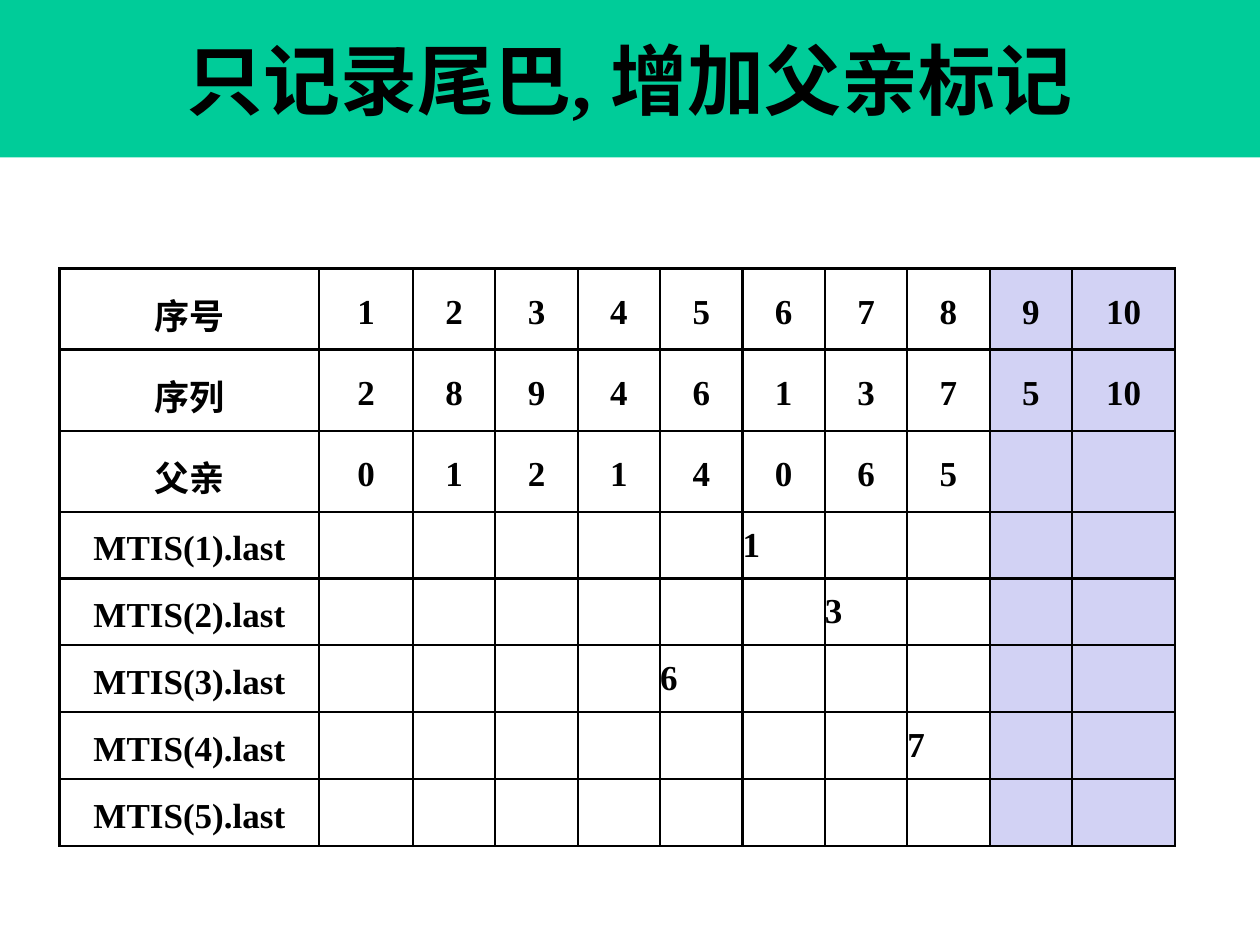
from lxml.etree import SubElement
from pptx import Presentation
from pptx.dml.color import RGBColor
from pptx.enum.text import MSO_ANCHOR, MSO_AUTO_SIZE, PP_ALIGN
from pptx.oxml.ns import qn
from pptx.util import Pt

BLACK = RGBColor(0x00, 0x00, 0x00)
GREEN = RGBColor(0x00, 0xCC, 0x99)
LAVENDER = RGBColor(0xD2, 0xD2, 0xF4)
FONT = "Times New Roman"

# Rows filled across all columns, and the single value in each later row
HEADER_ROWS = [
    ["序号", 1, 2, 3, 4, 5, 6, 7, 8, 9, 10],
    ["序列", 2, 8, 9, 4, 6, 1, 3, 7, 5, 10],
    ["父亲", 0, 1, 2, 1, 4, 0, 6, 5, "", ""],
]
LAST_VALUES = [(6, 1), (7, 3), (5, 6), (8, 7), None]  # (column, value)
COLUMN_WIDTHS = [148.5, 53.5] + [47.1] * 8 + [59]
ROW_HEIGHTS = [46] * 3 + [38] * 5
FIRST_SHADED_COLUMN = 9


def style_text(para, size):
    para.font.name = FONT
    para.font.size = Pt(size)
    para.font.bold = True
    para.font.color.rgb = BLACK


def add_title(page, left, top, width, height):
    title = page.shapes.title
    title.left, title.top = Pt(left), Pt(top)
    title.width, title.height = Pt(width), Pt(height)
    title.fill.solid()
    title.fill.fore_color.rgb = GREEN
    frame = title.text_frame
    frame.text = "只记录尾巴, 增加父亲标记"
    frame.auto_size = MSO_AUTO_SIZE.NONE
    frame.vertical_anchor = MSO_ANCHOR.MIDDLE
    para = frame.paragraphs[0]
    para.alignment = PP_ALIGN.CENTER
    style_text(para, 44)


def add_borders(cell):
    properties = cell._tc.get_or_add_tcPr()
    for side in ("a:lnL", "a:lnR", "a:lnT", "a:lnB"):
        line = SubElement(properties, qn(side), w=str(Pt(1.5)))
        fill = SubElement(line, qn("a:solidFill"))
        SubElement(fill, qn("a:srgbClr"), val=str(BLACK))


def format_cell(cell, text, centred, shaded):
    add_borders(cell)
    if shaded:
        cell.fill.solid()
        cell.fill.fore_color.rgb = LAVENDER
    else:
        cell.fill.background()
    cell.vertical_anchor = MSO_ANCHOR.MIDDLE
    cell.margin_left = cell.margin_right = 0
    cell.margin_top = cell.margin_bottom = Pt(5.76)
    if text == "":
        return
    cell.text = str(text)
    para = cell.text_frame.paragraphs[0]
    if centred:
        para.alignment = PP_ALIGN.CENTER
        para.line_spacing = 1.2
    style_text(para, 20)


def table_rows():
    rows = list(HEADER_ROWS)
    for number, entry in enumerate(LAST_VALUES, start=1):
        row = [f"MTIS({number}).last"] + [""] * 10
        if entry:
            column, value = entry
            row[column] = value
        rows.append(row)
    return rows


def add_sequence_table(page, left, top):
    rows = table_rows()
    frame = page.shapes.add_table(
        len(rows), len(COLUMN_WIDTHS), Pt(left), Pt(top),
        Pt(sum(COLUMN_WIDTHS)), Pt(sum(ROW_HEIGHTS)))
    table = frame.table
    table.first_row = table.horz_banding = False
    for column, width in zip(table.columns, COLUMN_WIDTHS):
        column.width = Pt(width)
    for r, (row, height) in enumerate(zip(rows, ROW_HEIGHTS)):
        table.rows[r].height = Pt(height)
        for c, text in enumerate(row):
            centred = c == 0 or r < len(HEADER_ROWS)
            format_cell(table.cell(r, c), text, centred,
                        c >= FIRST_SHADED_COLUMN)


def main():
    deck = Presentation()
    deck.slide_width, deck.slide_height = Pt(720), Pt(540)
    page = deck.slides.add_slide(deck.slide_layouts[5])
    add_title(page, 0, 0, 720, 90)
    add_sequence_table(page, 34, 153.4)
    deck.save("out.pptx")


if __name__ == "__main__":
    main()
